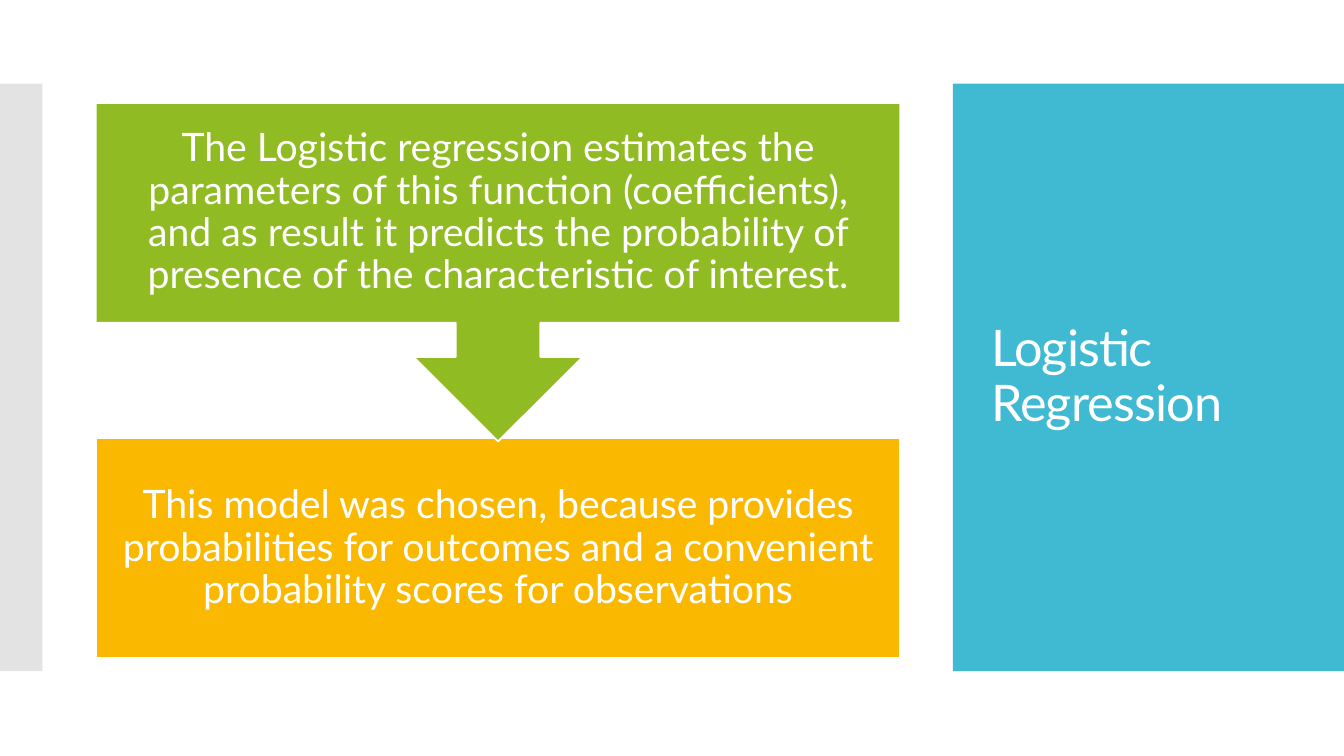
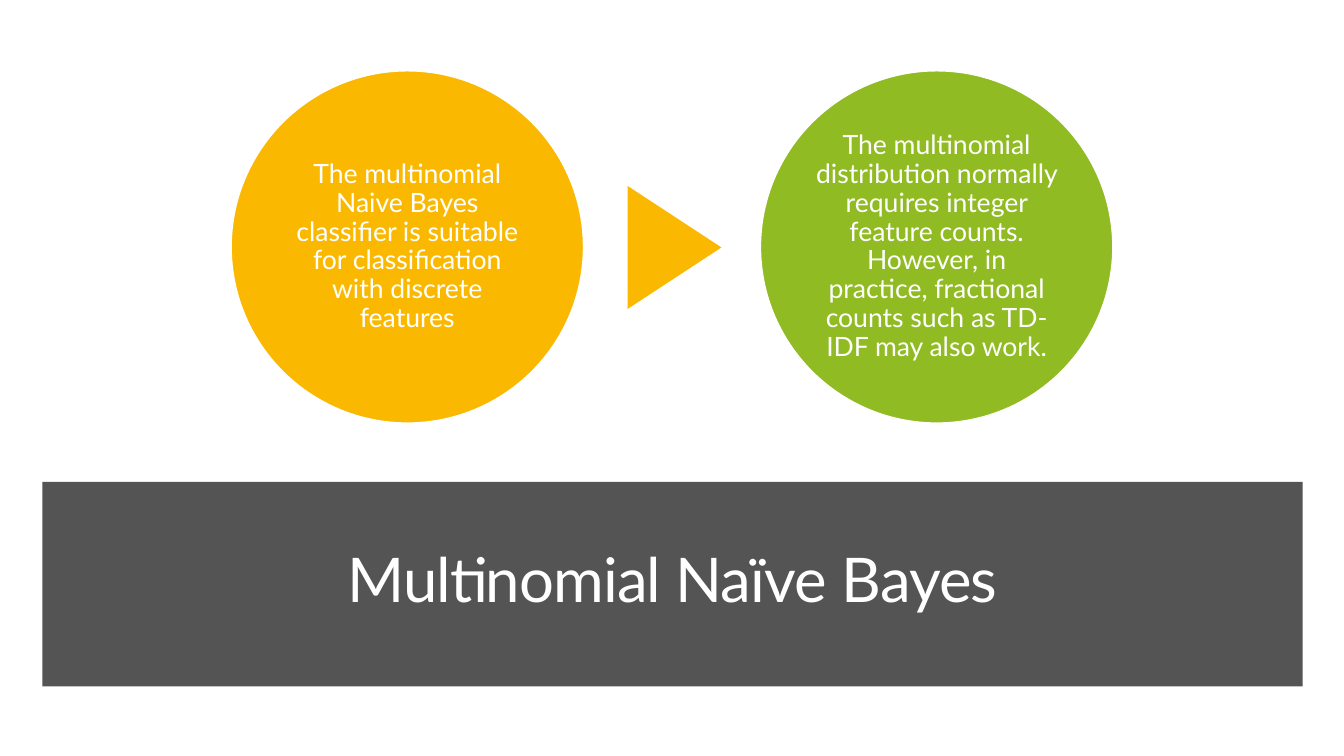
from pptx import Presentation
from pptx.dml.color import RGBColor
from pptx.enum.shapes import MSO_SHAPE
from pptx.enum.text import MSO_ANCHOR, MSO_AUTO_SIZE, PP_ALIGN
from pptx.oxml.ns import qn
from pptx.util import Inches, Pt
from lxml import etree

# Shared style
FONT = "Lato"
WHITE, BLUE, GREEN, AMBER = "FFFFFF", "40BAD2", "90BB23", "FAB900"
GRAY, DARK = "C8C8C8", "545454"

prs = Presentation()
prs.slide_width, prs.slide_height = Inches(13.33), Inches(7.5)


def add_block(slide, kind, box, color, outlined=False):
    sp = slide.shapes.add_shape(kind, *map(Inches, box))
    sp.shadow.inherit = False
    sp.fill.solid()
    sp.fill.fore_color.rgb = RGBColor.from_string(color)
    if outlined:
        sp.line.color.rgb = RGBColor.from_string(WHITE)
        sp.line.width = Pt(1.35)
    else:
        sp.line.fill.background()
    return sp


def write(sp, text, size, inset, align=PP_ALIGN.CENTER):
    tf = sp.text_frame
    tf.word_wrap = True
    tf.auto_size = MSO_AUTO_SIZE.NONE
    tf.vertical_anchor = MSO_ANCHOR.MIDDLE
    tf.margin_left = tf.margin_right = Inches(inset[0])
    tf.margin_top = tf.margin_bottom = Inches(inset[1])
    p = tf.paragraphs[0]
    p.alignment = align
    p.line_spacing = 0.9
    r = p.add_run()
    r.text = text
    r.font.name = FONT
    r.font.size = Pt(size)
    r.font.color.rgb = RGBColor.from_string(WHITE)
    return r


# Title bands with their titles
slides = []
for text, size, align, band, box, color in [
    ("Logistic Regression", 36, PP_ALIGN.LEFT,
     (9.45, 0.83, 3.88, 5.83), (9.73, 1.23, 3.22, 5.03), BLUE),
    ("Multinomial Naïve Bayes", 44, PP_ALIGN.CENTER,
     (0.42, 4.78, 12.5, 2.03), (0.61, 5.03, 12.12, 1.49), DARK),
]:
    slide = prs.slides.add_slide(prs.slide_layouts[5])
    add_block(slide, MSO_SHAPE.RECTANGLE, band, color)
    title = slide.shapes.title
    title.left, title.top, title.width, title.height = map(Inches, box)
    r = write(title, text, size, (0.1, 0.05), align)
    r.font._element.set("spc", "-60")
    # Bring the title in front of its band
    slide.shapes._spTree.append(title._element)
    slides.append(slide)
logistic, bayes = slides

# Logistic regression: side strip
strip = add_block(logistic, MSO_SHAPE.RECTANGLE, (0, 0.83, 0.42, 5.83), GRAY)
tint = strip._element.spPr.find(qn("a:solidFill"))[0]
etree.SubElement(tint, qn("a:alpha")).set("val", "50000")

# Logistic regression: callout pointing down to the reason
left, width, height = 0.95, 7.98, 2.18
reason = add_block(logistic, MSO_SHAPE.RECTANGLE,
                   (left, 4.35, width, height), AMBER, True)
write(reason, "This model was chosen, because provides probabilities for "
      "outcomes and a convenient probability scores for observations",
      28, (0.22, 0.22))
callout = add_block(logistic, MSO_SHAPE.UP_ARROW_CALLOUT,
                    (left, 1.02, width, 3.36), GREEN, True)
callout.rotation = 180
label = logistic.shapes.add_textbox(*map(Inches, (left, 1.02, width, height)))
write(label, "The Logistic regression estimates the parameters of this "
      "function (coefficients), and as result it predicts the probability of "
      "presence of the characteristic of interest.", 28, (0.22, 0.22))

# Naive Bayes: two circles joined by a triangle
for x, color, text in [
    (2.29, AMBER, "The multinomial Naive Bayes classifier is suitable for "
     "classification with discrete features"),
    (7.54, GREEN, "The multinomial distribution normally requires integer "
     "feature counts. However, in practice, fractional counts such as TD-IDF "
     "may also work."),
]:
    circle = add_block(bayes, MSO_SHAPE.OVAL, (x, 0.7, 3.5, 3.5), color, True)
    write(circle, text, 19, (0.03, 0.03))
arrow = add_block(bayes, MSO_SHAPE.ISOSCELES_TRIANGLE,
                  (6.08, 1.99, 1.22, 0.93), AMBER)
arrow.rotation = 90

prs.save("out.pptx")
